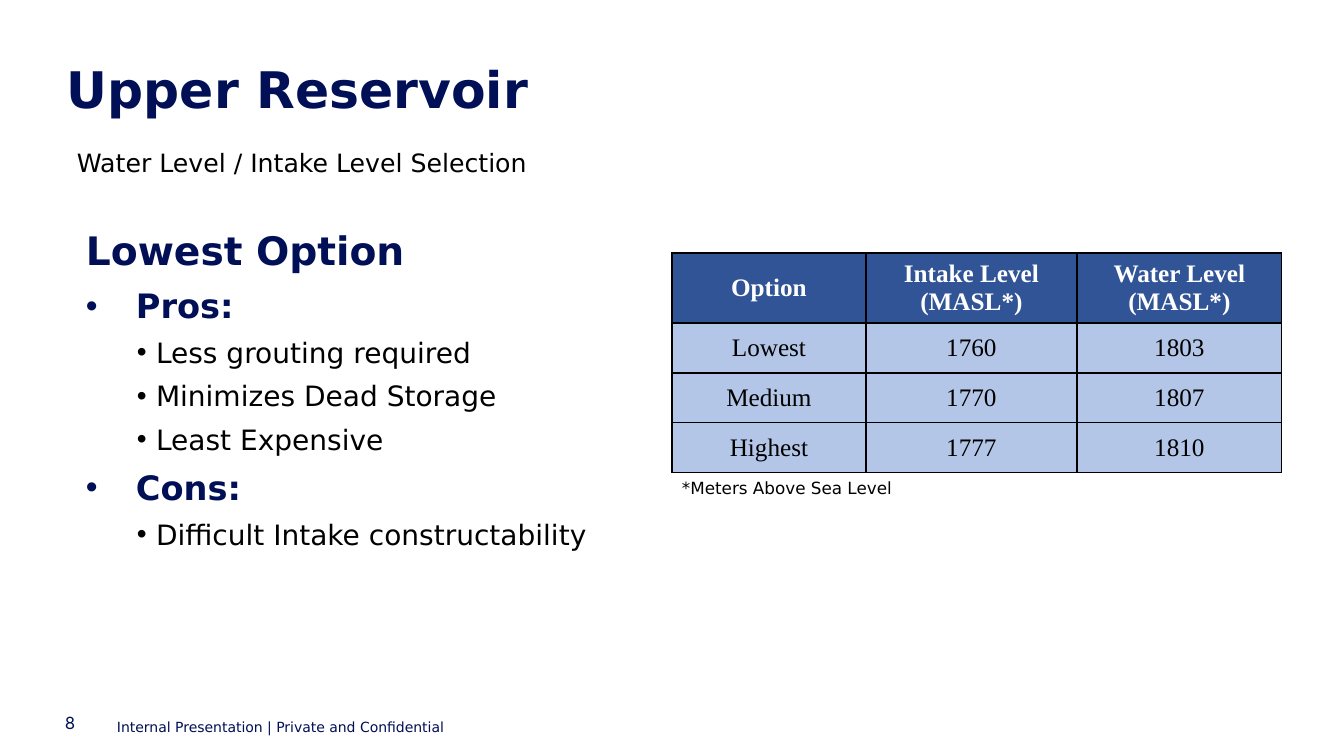
from lxml.etree import SubElement
from pptx import Presentation
from pptx.dml.color import RGBColor
from pptx.enum.text import MSO_ANCHOR, MSO_AUTO_SIZE, PP_ALIGN
from pptx.oxml.ns import qn
from pptx.util import Pt

PX = 914400 / 100.8
COLORS = {"navy": "000F56", "black": "000000", "white": "FFFFFF",
          "header": "305496", "row": "B4C6E7"}
SANS, SERIF = "DejaVu Sans", "Times New Roman"

TITLE = "Upper Reservoir"
# text, (left, top, width, height), inset, font format
LABELS = [
    ("8", (65, 713, 43, 21), (0, 0), dict(size=12, name="Inter", color="navy")),
    ("Internal Presentation | Private and Confidential", (117, 714, 538, 21), (0, 0),
     dict(size=10, name=SANS, color="navy", spacing=1.25)),
    ("Water Level / Intake Level Selection", (67, 142, 484, 40), (10, 5),
     dict(size=18, name=SANS, color="black")),
    ("*Meters Above Sea Level", (672, 473, 235, 30), (10, 5),
     dict(size=12, name=SANS, color="black")),
]
OUTLINE = [
    ("heading", "Lowest Option"),
    ("group", "Pros:"),
    ("point", "Less grouting required"),
    ("point", "Minimizes Dead Storage"),
    ("point", "Least Expensive"),
    ("group", "Cons:"),
    ("point", "Difficult Intake constructability"),
]
# level, left margin and hanging indent in px, font format
OUTLINE_STYLES = {
    "heading": (0, 0, 0, dict(size=28, bold=True, color="navy")),
    "group": (0, 50, 50, dict(size=24, bold=True, color="navy")),
    "point": (1, 70, 19, dict(size=20, bold=False, color="black")),
}
LEVELS = [
    ("Option", "Intake Level (MASL*)", "Water Level (MASL*)"),
    ("Lowest", "1760", "1803"),
    ("Medium", "1770", "1807"),
    ("Highest", "1777", "1810"),
]
COLUMN_WIDTHS = (194, 211, 205)
ROW_HEIGHTS = (70, 50, 50, 50)


def px(length):
    return round(length * PX)


def rgb(name):
    return RGBColor.from_string(COLORS[name])


def place(shape, bounds):
    for side, length in zip(("left", "top", "width", "height"), bounds):
        setattr(shape, side, px(length))


def set_frame(frame, inset, anchor=MSO_ANCHOR.TOP):
    across, down = map(px, inset)
    values = dict(margin_left=across, margin_right=across, margin_top=down,
                  margin_bottom=down, word_wrap=True, vertical_anchor=anchor,
                  auto_size=MSO_AUTO_SIZE.NONE)
    for key, value in values.items():
        setattr(frame, key, value)


def write(para, text, size, color, name=SANS, bold=False, spacing=1.0,
          before=0, align=PP_ALIGN.LEFT):
    values = dict(line_spacing=spacing, space_before=Pt(before), alignment=align)
    for key, value in values.items():
        setattr(para, key, value)
    span = para.add_run()
    span.text = text
    for key, value in dict(size=Pt(size), name=name, bold=bold).items():
        setattr(span.font, key, value)
    span.font.color.rgb = rgb(color)


def set_bullet(para, margin, hanging):
    props = para._p.get_or_add_pPr()
    props.set("marL", str(px(margin)))
    props.set("indent", str(-px(hanging)))
    if hanging:
        SubElement(props, qn("a:buFont"), typeface="Arial")
        SubElement(props, qn("a:buChar"), char="•")
    else:
        SubElement(props, qn("a:buNone"))


def add_borders(cell):
    props = cell._tc.get_or_add_tcPr()
    for index, side in enumerate(("lnL", "lnR", "lnT", "lnB")):
        line = SubElement(props, qn(f"a:{side}"), w=str(Pt(1)))
        fill = SubElement(line, qn("a:solidFill"))
        SubElement(fill, qn("a:srgbClr"), val=COLORS["black"])
        props.insert(index, line)


def add_labels(page):
    for text, bounds, inset, style in LABELS:
        box = page.shapes.add_textbox(*map(px, bounds))
        set_frame(box.text_frame, inset)
        write(box.text_frame.paragraphs[0], text, **style)


def fill_outline(body):
    place(body, (76, 210, 570, 337))
    frame = body.text_frame
    set_frame(frame, (10, 5))
    for index, (kind, text) in enumerate(OUTLINE):
        para = frame.add_paragraph() if index else frame.paragraphs[0]
        level, margin, hanging, style = OUTLINE_STYLES[kind]
        para.level = level
        set_bullet(para, margin, hanging)
        write(para, text, spacing=1.25, before=1 if index else 0, **style)


def add_level_table(page):
    bounds = (672, 253, sum(COLUMN_WIDTHS), sum(ROW_HEIGHTS))
    table = page.shapes.add_table(len(LEVELS), len(COLUMN_WIDTHS),
                                  *map(px, bounds)).table
    for column, width in zip(table.columns, COLUMN_WIDTHS):
        column.width = px(width)
    for index, (row, height, texts) in enumerate(zip(table.rows, ROW_HEIGHTS, LEVELS)):
        row.height = px(height)
        is_header = index == 0
        for cell, text in zip(row.cells, texts):
            cell.vertical_anchor = MSO_ANCHOR.MIDDLE
            cell.fill.solid()
            cell.fill.fore_color.rgb = rgb("header" if is_header else "row")
            add_borders(cell)
            write(cell.text_frame.paragraphs[0], text, 18,
                  "white" if is_header else "black", name=SERIF,
                  bold=is_header, align=PP_ALIGN.CENTER)


def main():
    deck = Presentation()
    deck.slide_width, deck.slide_height = px(1344), px(756)
    page = deck.slides.add_slide(deck.slide_layouts[1])
    title, body = page.placeholders
    place(title, (67, 65, 1159, 103))
    set_frame(title.text_frame, (0, 0))
    write(title.text_frame.paragraphs[0], TITLE, 36, "navy", bold=True, spacing=0.9)
    fill_outline(body)
    add_labels(page)
    add_level_table(page)
    deck.save("out.pptx")


if __name__ == "__main__":
    main()
